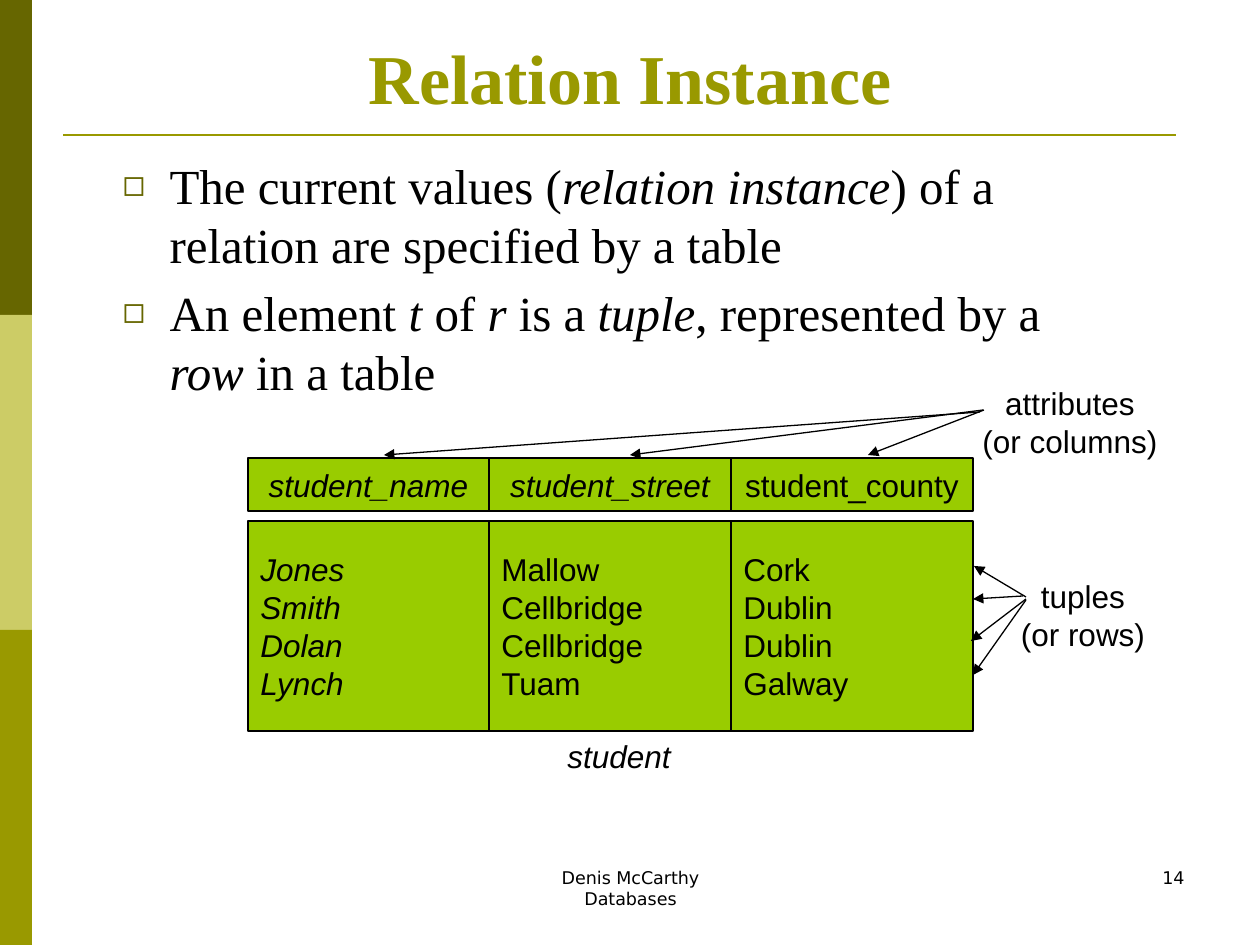
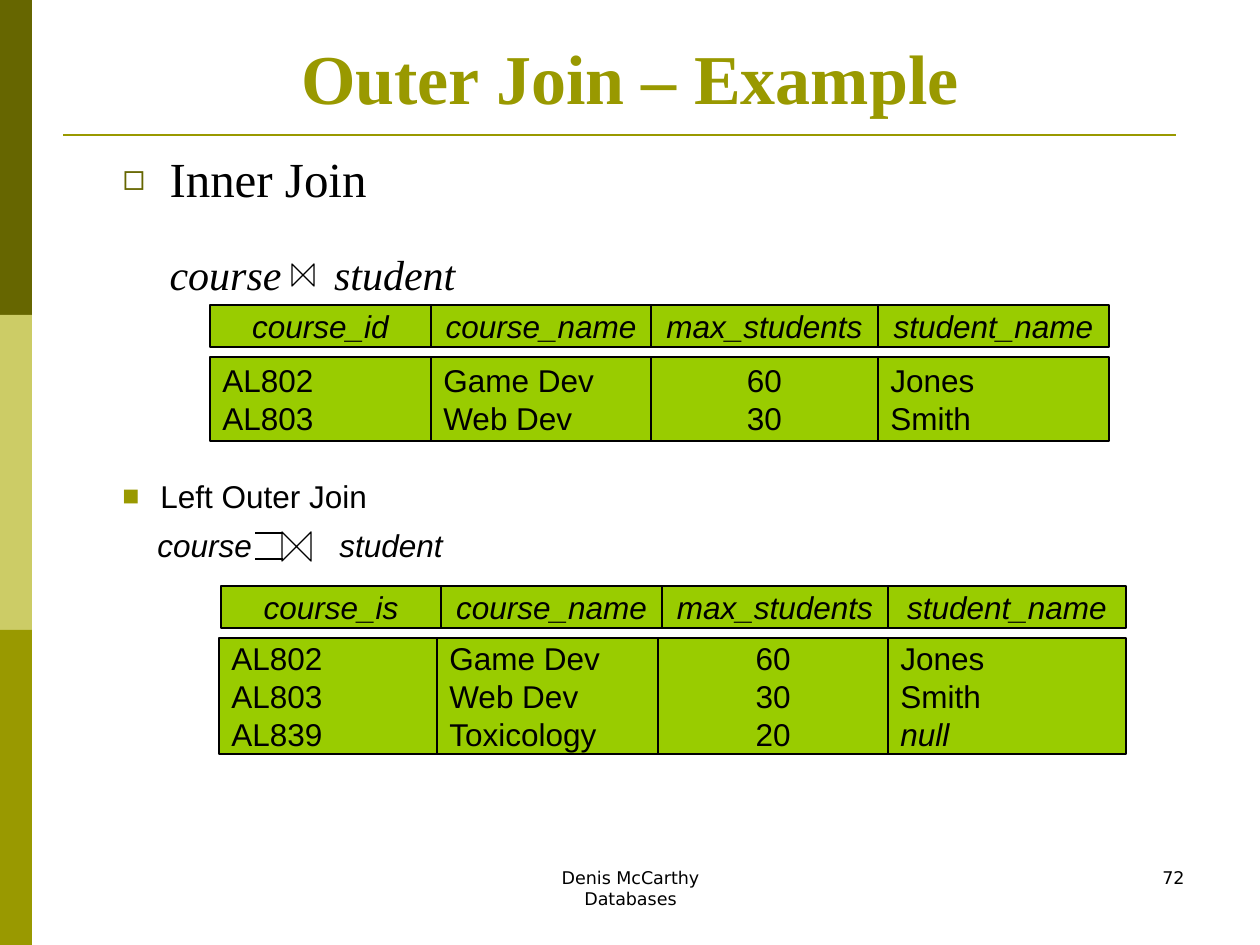
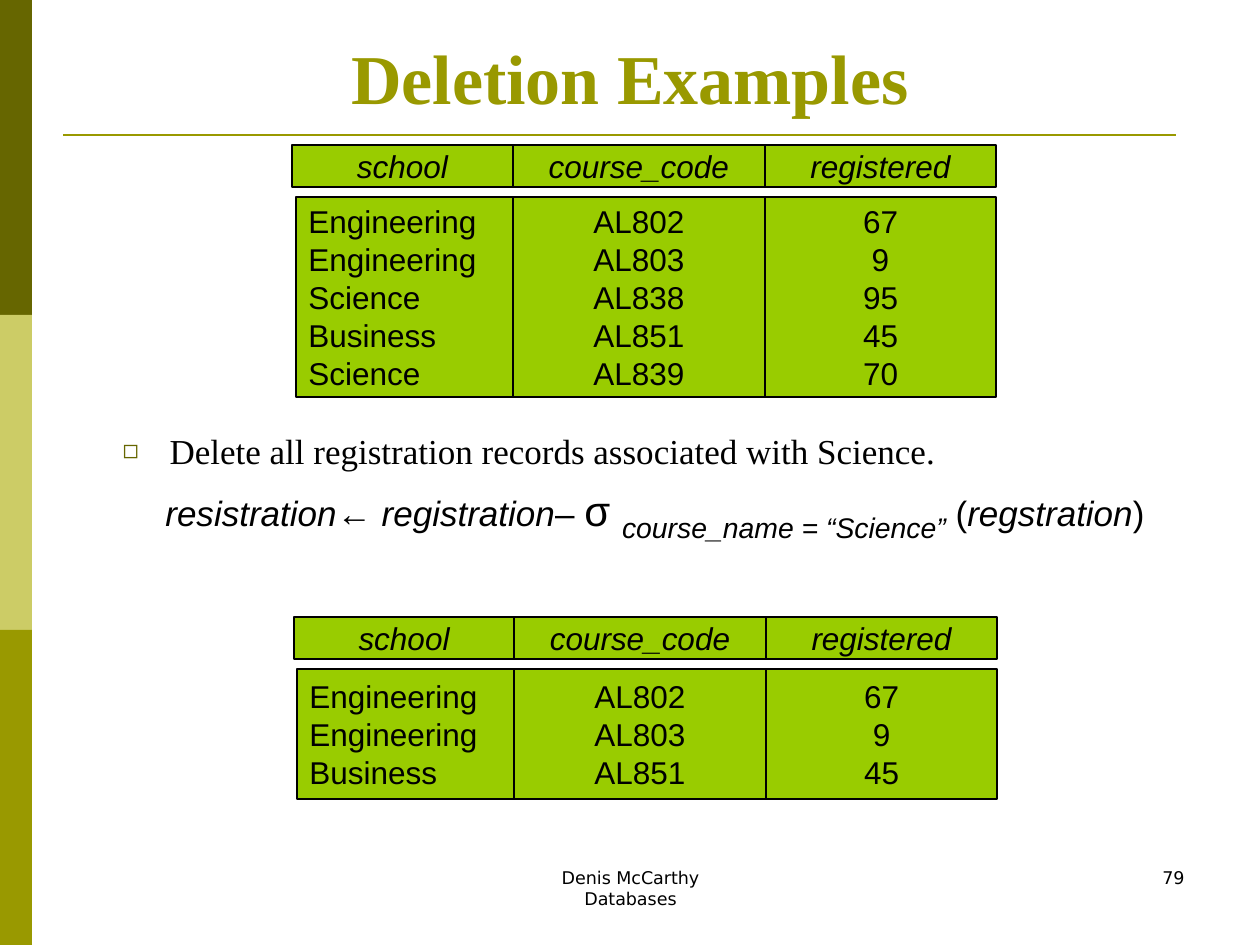
import pptx
import pptx.util
import pptx.dml.color
import pptx.enum.shapes
import pptx.enum.text
import pptx.oxml
import pptx.oxml.ns
from dataclasses import dataclass


@dataclass(frozen=True)
class Theme:
    dark: str = "666600"
    pale: str = "CCCC66"
    olive: str = "999900"
    cell: str = "99CC00"
    ink: str = "000000"
    serif: str = "Times New Roman"
    sans: str = "Arial"
    small: str = "DejaVu Sans"
    title: int = 40
    body: int = 28
    sub: int = 24
    note: int = 20
    label: int = 18
    foot: int = 10
    thin: float = 0.75
    rule: float = 1.5


T = Theme()

# Content: text between asterisks is italic; lengths are px
FOOT = ["Denis McCarthy", "Databases"]
GAP = 10  # between the head and the body of a grid

STUDENT = dict(
    head=(248, 489, 731, 973), body=(248, 489, 731, 973),
    top=458, tall=53, deep=210,
    cols=[("*student_name*", "l", ["*Jones*", "*Smith*", "*Dolan*", "*Lynch*"]),
          ("*student_street*", "l", ["Mallow", "Cellbridge", "Cellbridge", "Tuam"]),
          ("student_county", "l", ["Cork", "Dublin", "Dublin", "Galway"])])
INNER = dict(
    head=(210, 431, 651, 878, 1109), body=(210, 431, 651, 878, 1109),
    top=305, tall=42, deep=84,
    cols=[("*course_id*", "l", ["AL802", "AL803"]),
          ("*course_name*", "l", ["Game Dev", "Web Dev"]),
          ("*max_students*", "c", ["60", "30"]),
          ("*student_name*", "l", ["Jones", "Smith"])])
OUTER = dict(
    head=(221, 441, 662, 888, 1126), body=(219, 437, 658, 888, 1126),
    top=586, tall=42, deep=116,
    cols=[("*course_is*", "l", ["AL802", "AL803", "AL839"]),
          ("*course_name*", "l", ["Game Dev", "Web Dev", "Toxicology"]),
          ("*max_students*", "c", ["60", "30", "20"]),
          ("*student_name*", "l", ["Jones", "Smith", "*null*"])])
BEFORE = dict(
    head=(292, 513, 765, 996), body=(296, 513, 765, 996),
    top=145, tall=42, deep=200,
    cols=[("*school*", "l", ["Engineering", "Engineering", "Science",
                             "Business", "Science"]),
          ("*course_code*", "c", ["AL802", "AL803", "AL838", "AL851", "AL839"]),
          ("*registered*", "c", ["67", "9", "95", "45", "70"])])
AFTER = dict(
    head=(294, 514, 766, 997), body=(297, 514, 766, 997),
    top=617, tall=42, deep=130,
    cols=[("*school*", "l", ["Engineering", "Engineering", "Business"]),
          ("*course_code*", "c", ["AL802", "AL803", "AL851"]),
          ("*registered*", "c", ["67", "9", "45"])])

SLIDES = [
    dict(title="Relation Instance", page="14", box=(110, 149, 1021, 272),
         size=T.body, grids=[STUDENT],
         list=["The current values (*relation instance*) of a relation"
               " are specified by a table",
               "An element *t* of *r* is a *tuple*, represented by a"
               " *row *in a table"]),
    dict(title="Outer Join – Example", page="72", box=(110, 149, 964, 116),
         size=T.body, grids=[INNER, OUTER],
         list=["Inner Join"]),
    dict(title="Deletion Examples", page="79", box=(110, 423, 1066, 72),
         size=T.note, grids=[BEFORE, AFTER],
         list=["Delete all registration records associated with Science."]),
]

LABELS = [(["*student*"], (554, 731, 130, 50)),
          (["attributes", "(or columns)"], (970, 378, 200, 88)),
          (["tuples", "(or rows)"], (1008, 571, 150, 88))]
ARROWS = [(980, 412, 384, 455), (983, 410, 630, 455), (984, 410, 868, 455),
          (1026, 597, 974, 566), (1023, 596, 973, 599),
          (1026, 599, 971, 641), (1026, 600, 973, 675)]
JOIN = "*course* *student*"
DELETE = ("*resistration*← *registration*– **σ *course_name = “Science”*"
          " (*regstration*)")
BARS = [(283, 533, 255, 533), (283, 559, 255, 559)]
BOWS = [(292, 264, 22, 22), (282, 532, 29, 29)]

ALIGN = {"l": pptx.enum.text.PP_ALIGN.LEFT,
         "c": pptx.enum.text.PP_ALIGN.CENTER,
         "r": pptx.enum.text.PP_ALIGN.RIGHT}
KIND = pptx.enum.shapes.MSO_SHAPE
ANCHOR = pptx.enum.text.MSO_ANCHOR


# Basic parts
def px(n):
    return pptx.util.Emu(round(n * 914400 / 126))


def rgb(code):
    return pptx.dml.color.RGBColor.from_string(code)


def node(par, tag, **attrs):
    kid = pptx.oxml.parse_xml(f"<a:{tag} {pptx.oxml.ns.nsdecls('a')}/>")
    for key, val in attrs.items():
        kid.set(key, str(val))
    par.append(kid)
    return kid


def write(par, text, face, size, align="l", color=T.ink, bold=False):
    par.alignment = ALIGN[align]
    for i, part in enumerate(text.split("*")):
        if part:
            run = par.add_run()
            run.text = part
            font = run.font
            font.name, font.size = face, pptx.util.Pt(size)
            font.bold, font.italic = bold, i % 2 == 1
            font.color.rgb = rgb(color)


def fill(frame, lines, face, size, align="l", wrap=True, lead=0, **look):
    frame.word_wrap = wrap
    frame.auto_size = pptx.enum.text.MSO_AUTO_SIZE.NONE
    for i, text in enumerate(lines):
        par = frame.add_paragraph() if i else frame.paragraphs[0]
        par.space_before = pptx.util.Pt(size * lead if i else 0)
        write(par, text, face, size, align, **look)
    return frame.paragraphs


def place(shape, box):
    shape.left, shape.top, shape.width, shape.height = map(px, box)


def block(shapes, box, color=None, kind=KIND.RECTANGLE, edge=True):
    shape = shapes.add_shape(kind, *map(px, box))
    shape.shadow.inherit = False
    if color:
        shape.fill.solid()
        shape.fill.fore_color.rgb = rgb(color)
    else:
        shape.fill.background()
    if edge:
        shape.line.color.rgb = rgb(T.ink)
        shape.line.width = pptx.util.Pt(T.thin)
    else:
        shape.line.fill.background()
    return shape


def line(shapes, ends, color=T.ink, width=T.thin, arrow=False):
    link = shapes.add_connector(
        pptx.enum.shapes.MSO_CONNECTOR.STRAIGHT, *map(px, ends))
    link.line.color.rgb = rgb(color)
    link.line.width = pptx.util.Pt(width)
    props = link.element.spPr
    if arrow:
        node(props.find(pptx.oxml.ns.qn("a:ln")), "tailEnd", type="triangle")
    node(props, "effectLst")
    return link


def note(slide, lines, box, face=T.sans, size=T.label, **look):
    frame = slide.shapes.add_textbox(*map(px, box)).text_frame
    return fill(frame, lines, face, size, **look)


def indent(par, left, hang=0):
    props = par._p.get_or_add_pPr()
    props.set("marL", str(px(left)))
    props.set("indent", str(px(-hang)))
    return props


def bullet(par, char, color, part, dent, face=None):
    props = indent(par, dent, dent)
    node(node(props, "buClr"), "srgbClr", val=color)
    node(props, "buSzPct", val=part * 1000)
    if face:
        node(props, "buFont", typeface=face)
    node(props, "buChar", char=char)


# Line with a join symbol: its one space is tracked out to hold the symbol
def term(par, left, gap):
    node(indent(par, left), "buNone")
    par.runs[1].font._element.set("spc", str(gap * 100))


# Grid of cells: a head row and one tall cell per column
def grid(slide, head, body, top, tall, deep, cols):
    group = slide.shapes.add_group_shape().shapes
    for i, (name, align, rows) in enumerate(cols):
        for edges, y, high, lines, side in (
                (head, top, tall, [name], "c"),
                (body, top + tall + GAP, deep, rows, align)):
            box = (edges[i], y, edges[i + 1] - edges[i], high)
            frame = block(group, box, T.cell).text_frame
            frame.vertical_anchor = ANCHOR.MIDDLE
            fill(frame, lines, T.sans, T.label, side)


# Shared look: side bands and title rule go to the master
def dress(deck, slide):
    parts = [block(slide.shapes, (0, 315 * i, 32, 315), color, edge=False)
             for i, color in enumerate((T.dark, T.pale, T.olive))]
    parts.append(line(slide.shapes, (63, 135, 1176, 135), T.olive, T.rule))
    tree = deck.slide_master.element.cSld.spTree
    for i, part in enumerate(parts):
        part.element.xpath(".//p:cNvPr")[0].set("id", str(100 + i))
        tree.insert(2 + i, part.element)


def start(deck, data):
    slide = deck.slides.add_slide(deck.slide_layouts[1])
    title, body = slide.placeholders
    place(title, (63, 38, 1134, 87))
    title.text_frame.vertical_anchor = ANCHOR.BOTTOM
    fill(title.text_frame, [data["title"]], T.serif, T.title, "c",
         color=T.olive, bold=True)
    place(body, data["box"])
    for par in fill(body.text_frame, data["list"], T.serif, data["size"],
                    lead=0.2):
        bullet(par, "◻", T.dark, 75, 47)
    for item in data["grids"]:
        grid(slide, **item)
    note(slide, FOOT, (431, 861, 399, 63), T.small, T.foot, align="c")
    note(slide, [data["page"]], (903, 861, 294, 63), T.small, T.foot, align="r")
    return slide


# What each slide has of its own
def relation(slide):
    for lines, box in LABELS:
        note(slide, lines, box, align="c", wrap=False)
    for ends in ARROWS:
        line(slide.shapes, ends, arrow=True)


def joins(slide):
    frame = slide.placeholders[1].text_frame
    par = frame.add_paragraph()
    write(par, JOIN, T.serif, T.sub)
    term(par, 47, 24)
    for each in frame.paragraphs:
        each.line_spacing = 0.9
    par.space_before = pptx.util.Pt(26)
    first, last = note(slide, ["Left Outer Join", JOIN],
                       (110, 471, 583, 102), lead=0.35)
    bullet(first, "■", T.olive, 90, 38, T.sans)
    term(last, 35, 45)
    for box in BOWS:
        block(slide.shapes, box, kind=KIND.FLOWCHART_COLLATE).rotation = 270
    for ends in BARS:
        line(slide.shapes, ends)


def deletion(slide):
    par = note(slide, [DELETE], (125, 471, 1060, 102), size=T.note,
               align="c", wrap=False)[0]
    for run in par.runs:
        if run.text == "σ ":
            run.font.size = pptx.util.Pt(T.sub)
        elif run.text.startswith("course_name"):
            run.font.size = pptx.util.Pt(T.body)
            run.font._element.set("baseline", "-25000")


def main():
    deck = pptx.Presentation()
    deck.slide_width, deck.slide_height = px(1260), px(945)
    for data, extra in zip(SLIDES, (relation, joins, deletion)):
        extra(start(deck, data))
    dress(deck, deck.slides[0])
    deck.save("out.pptx")


if __name__ == "__main__":
    main()
